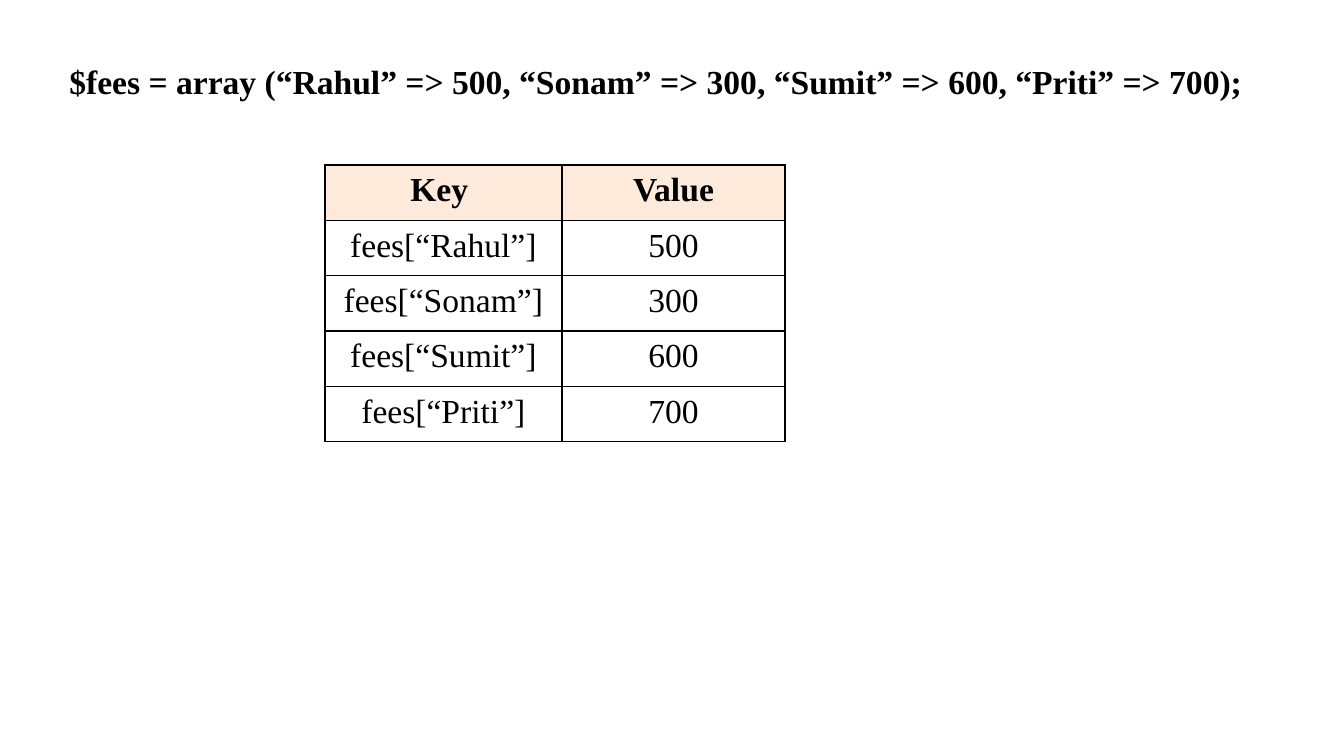
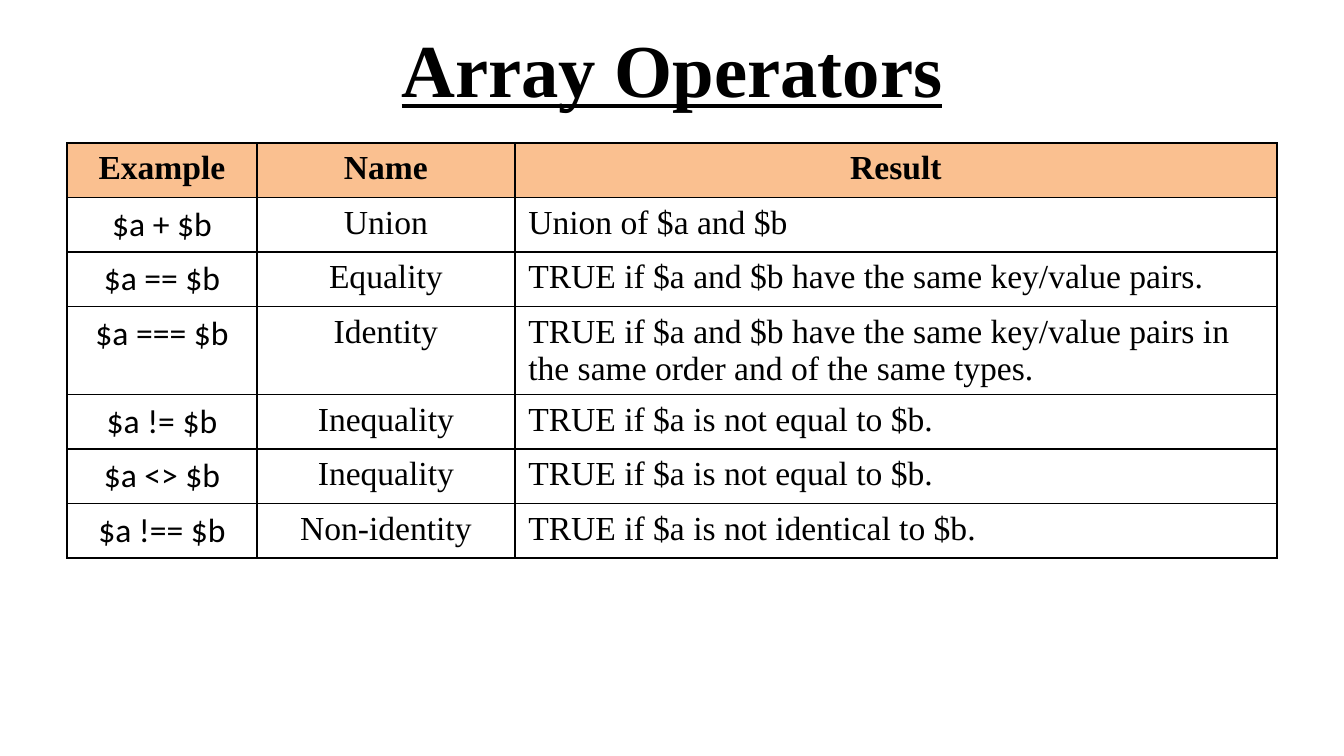
from dataclasses import dataclass

from lxml.etree import SubElement
from pptx import Presentation
from pptx.dml.color import RGBColor
from pptx.enum.text import MSO_ANCHOR, MSO_AUTO_SIZE, PP_ALIGN
from pptx.oxml.ns import qn
from pptx.util import Emu, Pt


# Theme shared by the slides
@dataclass(frozen=True)
class Theme:
    ink: str = "000000"
    pale_header: str = "FDEADA"
    strong_header: str = "FAC090"
    text_font: str = "Times New Roman"
    code_font: str = "Calibri"
    title_size: int = 40
    text_size: int = 18
    border_width: int = 1


theme = Theme()
CENTER, LEFT = PP_ALIGN.CENTER, PP_ALIGN.LEFT

# Content
fees_statement = (
    "$fees = array (“Rahul” => 500, “Sonam” => 300, “Sumit” => 600, “Priti” => 700);"
)
fees_rows = [
    ("Key ", "Value"),
    ("fees[“Rahul”]", "500"),
    ("fees[“Sonam”]", "300"),
    ("fees[“Sumit”]", "600"),
    ("fees[“Priti”]", "700"),
]
operators_title = "Array Operators"
operator_rows = [
    ("Example", "Name", "Result"),
    ("$a + $b", "Union", "Union of $a and $b"),
    ("$a == $b", "Equality", "TRUE if $a and $b have the same key/value pairs."),
    ("$a === $b", "Identity",
     "TRUE if $a and $b have the same key/value pairs in the same order and of the same types."),
    ("$a != $b", "Inequality", "TRUE if $a is not equal to $b."),
    ("$a <> $b", "Inequality", "TRUE if $a is not equal to $b."),
    ("$a !== $b", "Non-identity", "TRUE if $a is not identical to $b."),
]

# Columns: width in pixels, body font, body alignment
fees_columns = [(237, theme.text_font, CENTER), (223, theme.text_font, CENTER)]
operator_columns = [
    (190, theme.code_font, CENTER),
    (258, theme.text_font, CENTER),
    (762, theme.text_font, LEFT),
]

# Scale: slide is 1344 by 756 pixels
PIXELS_PER_INCH = 134.4


def px(length):
    return Emu(round(length * 914400 / PIXELS_PER_INCH))


# Helpers
def place(shape, left, top, width, height):
    shape.left, shape.top = px(left), px(top)
    shape.width, shape.height = px(width), px(height)


def write(text_frame, text, alignment, size=theme.text_size,
          font=theme.text_font, bold=False, underline=False):
    paragraph = text_frame.paragraphs[0]
    paragraph.alignment = alignment
    run = paragraph.add_run()
    run.text = text
    run.font.name = font
    run.font.size = Pt(size)
    run.font.bold = bold
    run.font.underline = underline
    run.font.color.rgb = RGBColor.from_string(theme.ink)
    return paragraph


def remove_bullet(paragraph):
    properties = paragraph._p.get_or_add_pPr()
    properties.set("marL", "0")
    properties.set("indent", "0")
    SubElement(properties, qn("a:buNone"))


def draw_borders(cell):
    # Borders come before the fill in the cell properties
    properties = cell._tc.get_or_add_tcPr()
    for position, side in enumerate(("a:lnL", "a:lnR", "a:lnT", "a:lnB")):
        line = SubElement(properties, qn(side), w=str(Pt(theme.border_width)))
        fill = SubElement(line, qn("a:solidFill"))
        SubElement(fill, qn("a:srgbClr"), val=theme.ink)
        properties.insert(position, line)


def add_grid(slide, rows, columns, left, top, height, header_color):
    width = sum(column[0] for column in columns)
    frame = slide.shapes.add_table(
        len(rows), len(columns), px(left), px(top), px(width), px(height))
    table = frame.table
    table.first_row = table.horz_banding = False
    for row in table.rows:
        row.height = px(height / len(rows))
    for column_index, (column_width, font, alignment) in enumerate(columns):
        table.columns[column_index].width = px(column_width)
        for row_index, row in enumerate(rows):
            cell = table.cell(row_index, column_index)
            text = row[column_index]
            if row_index == 0:
                cell.fill.solid()
                cell.fill.fore_color.rgb = RGBColor.from_string(header_color)
                write(cell.text_frame, text, CENTER, bold=True)
            else:
                cell.fill.background()
                write(cell.text_frame, text, alignment, font=font)
            draw_borders(cell)


presentation = Presentation()
presentation.slide_width, presentation.slide_height = px(1344), px(756)
content_layout, title_layout = (presentation.slide_layouts[index] for index in (1, 5))

# Slide 1: an associative array and its keys
slide = presentation.slides.add_slide(content_layout)
empty_title = slide.shapes.title._element
empty_title.getparent().remove(empty_title)
body = slide.placeholders[1]
place(body, 56, 54, 1232, 101)
body.text_frame.auto_size = MSO_AUTO_SIZE.NONE
remove_bullet(write(body.text_frame, fees_statement, LEFT, bold=True))
add_grid(slide, fees_rows, fees_columns, 325, 165, 277, theme.pale_header)

# Slide 2: array operators
slide = presentation.slides.add_slide(title_layout)
title = slide.shapes.title
place(title, 67, 5, 1210, 126)
title.text_frame.auto_size = MSO_AUTO_SIZE.NONE
title.text_frame.vertical_anchor = MSO_ANCHOR.MIDDLE
write(title.text_frame, operators_title, CENTER, theme.title_size, bold=True, underline=True)
add_grid(slide, operator_rows, operator_columns, 67, 143, 382, theme.strong_header)

presentation.save("out.pptx")
